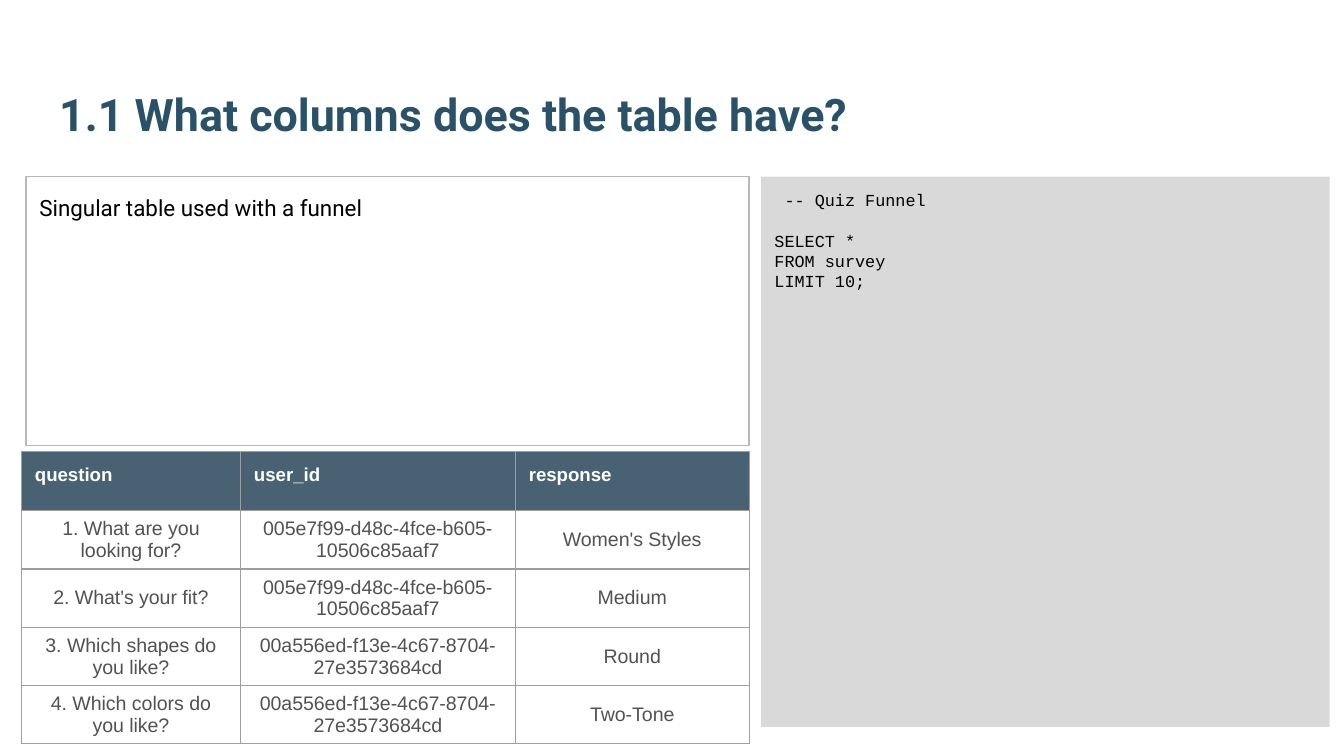
from dataclasses import dataclass
from typing import Optional

from lxml import etree
from pptx import Presentation
from pptx import util as u
from pptx.dml.color import RGBColor
from pptx.enum import shapes, text
from pptx.oxml.ns import qn

# A 16:9 slide
WIDTH = u.Inches(10)
HEIGHT = u.Emu(WIDTH * 9 // 16)
INSET = u.Inches(0.1)

BLACK = RGBColor(0x00, 0x00, 0x00)
WHITE = RGBColor(0xFF, 0xFF, 0xFF)
NAVY = RGBColor(0x29, 0x52, 0x69)
HEADER_FILL = RGBColor(0x20, 0x40, 0x56)
BODY_GREY = RGBColor(0x52, 0x52, 0x52)
PANEL_GREY = RGBColor(0xD9, 0xD9, 0xD9)
FRAME_GREY = RGBColor(0xB7, 0xB7, 0xB7)
GRID_GREY = RGBColor(0x9E, 0x9E, 0x9E)


@dataclass(frozen=True)
class Area:
    """A rectangle in percent of the slide's width and height."""
    left: float
    top: float
    width: float
    height: float

    def lengths(self) -> tuple:
        return (across(self.left), down(self.top),
                across(self.width), down(self.height))


@dataclass(frozen=True)
class Style:
    font: str
    size: float
    color: RGBColor
    bold: bool = False


@dataclass(frozen=True)
class Panel:
    area: Area
    style: Style
    lines: tuple
    fill: Optional[RGBColor] = None
    frame: Optional[RGBColor] = None
    line_spacing: float = 1.0


def across(percent: float) -> u.Emu:
    return u.Emu(round(WIDTH * percent / 100))


def down(percent: float) -> u.Emu:
    return u.Emu(round(HEIGHT * percent / 100))


TITLE_AREA = Area(3.4, 4.1, 93.2, 16.3)
TITLE_STYLE = Style("Roboto", 24, NAVY, bold=True)
HEADER_STYLE = Style("Arial", 10, WHITE, bold=True)
BODY_STYLE = Style("Arial", 10.5, BODY_GREY)

# An empty string marks a gap of one line
PANELS = (
    Panel(Area(56.64, 23.35, 42.3, 72.8), Style("Courier New", 9, BLACK),
          (" -- Quiz Funnel", "", "SELECT *", "FROM survey", "LIMIT 10;"),
          fill=PANEL_GREY),
    Panel(Area(1.94, 23.35, 53.8, 35.6), Style("Roboto", 12, BLACK),
          ("Singular table used with a funnel",),
          frame=FRAME_GREY, line_spacing=1.15),
)

COLUMN_SHARES = (16.3, 20.45, 17.4)
ROW_SHARES = (7.83,) + (7.7,) * 4
TABLE_AREA = Area(1.6, 59.75, sum(COLUMN_SHARES), sum(ROW_SHARES))
FIRST_USER = "005e7f99-d48c-4fce-b605-10506c85aaf7"
SECOND_USER = "00a556ed-f13e-4c67-8704-27e3573684cd"
SURVEY = (
    ("question", "user_id", "response"),
    ("1. What are you looking for?", FIRST_USER, "Women's Styles"),
    ("2. What's your fit?", FIRST_USER, "Medium"),
    ("3. Which shapes do you like?", SECOND_USER, "Round"),
    ("4. Which colors do you like?", SECOND_USER, "Two-Tone"),
)


def add_words(paragraph, words: str, style: Style) -> None:
    run = paragraph.add_run()
    run.text = words
    run.font.name = style.font
    run.font.size = u.Pt(style.size)
    run.font.bold = style.bold
    run.font.color.rgb = style.color


def set_insets(holder) -> None:
    holder.margin_left = holder.margin_right = INSET
    holder.margin_top = holder.margin_bottom = INSET


def place_title(title, words: str) -> None:
    title.left, title.top, title.width, title.height = TITLE_AREA.lengths()
    frame = title.text_frame
    frame.auto_size = text.MSO_AUTO_SIZE.NONE
    frame.vertical_anchor = text.MSO_ANCHOR.BOTTOM
    set_insets(frame)
    heading = frame.paragraphs[0]
    heading.alignment = text.PP_ALIGN.LEFT
    add_words(heading, words, TITLE_STYLE)


def draw_panel(slide, panel: Panel) -> None:
    box = slide.shapes.add_shape(shapes.MSO_SHAPE.RECTANGLE,
                                 *panel.area.lengths())
    box.shadow.inherit = False
    if panel.fill is None:
        box.fill.background()
    else:
        box.fill.solid()
        box.fill.fore_color.rgb = panel.fill
    if panel.frame is None:
        box.line.fill.background()
    else:
        box.line.color.rgb = panel.frame
        box.line.width = u.Pt(0.75)

    frame = box.text_frame
    frame.word_wrap = True
    frame.vertical_anchor = text.MSO_ANCHOR.TOP
    set_insets(frame)
    for number, words in enumerate(panel.lines):
        if not words:
            continue
        paragraph = frame.add_paragraph() if number else frame.paragraphs[0]
        paragraph.alignment = text.PP_ALIGN.LEFT
        paragraph.line_spacing = panel.line_spacing
        if number and not panel.lines[number - 1]:
            paragraph.space_before = u.Pt(panel.style.size * 1.2)
        add_words(paragraph, words, panel.style)


def add_borders(cell) -> None:
    properties = cell._tc.get_or_add_tcPr()
    for position, side in enumerate(("lnL", "lnR", "lnT", "lnB")):
        border = etree.Element(qn(f"a:{side}"), w=str(u.Pt(0.75)))
        fill = etree.SubElement(border, qn("a:solidFill"))
        etree.SubElement(fill, qn("a:srgbClr"), val=str(GRID_GREY))
        properties.insert(position, border)


def fill_cell(cell, words: str, is_header: bool) -> None:
    paragraph = cell.text_frame.paragraphs[0]
    if is_header:
        set_insets(cell)
        cell.vertical_anchor = text.MSO_ANCHOR.TOP
        cell.fill.solid()
        cell.fill.fore_color.rgb = HEADER_FILL
        tint = cell._tc.tcPr.find(f"{qn('a:solidFill')}/{qn('a:srgbClr')}")
        etree.SubElement(tint, qn("a:alpha"), val="82000")
    else:
        cell.vertical_anchor = text.MSO_ANCHOR.MIDDLE
        cell.fill.background()
        paragraph.alignment = text.PP_ALIGN.CENTER
    add_words(paragraph, words, HEADER_STYLE if is_header else BODY_STYLE)
    add_borders(cell)


def draw_survey(slide) -> None:
    survey = slide.shapes.add_table(len(SURVEY), len(COLUMN_SHARES),
                                    *TABLE_AREA.lengths()).table
    survey.first_row = survey.horz_banding = False
    for column, share in zip(survey.columns, COLUMN_SHARES):
        column.width = across(share)
    for row, share in zip(survey.rows, ROW_SHARES):
        row.height = down(share)
    for r, answers in enumerate(SURVEY):
        for c, words in enumerate(answers):
            fill_cell(survey.cell(r, c), words, is_header=r == 0)


def main() -> None:
    deck = Presentation()
    deck.slide_width, deck.slide_height = WIDTH, HEIGHT
    slide = deck.slides.add_slide(deck.slide_layouts[5])

    # Title
    place_title(slide.shapes.title, "1.1 What columns does the table have?")
    # Query and answer panels
    for panel in PANELS:
        draw_panel(slide, panel)
    # Survey results
    draw_survey(slide)

    deck.save("out.pptx")


if __name__ == "__main__":
    main()
